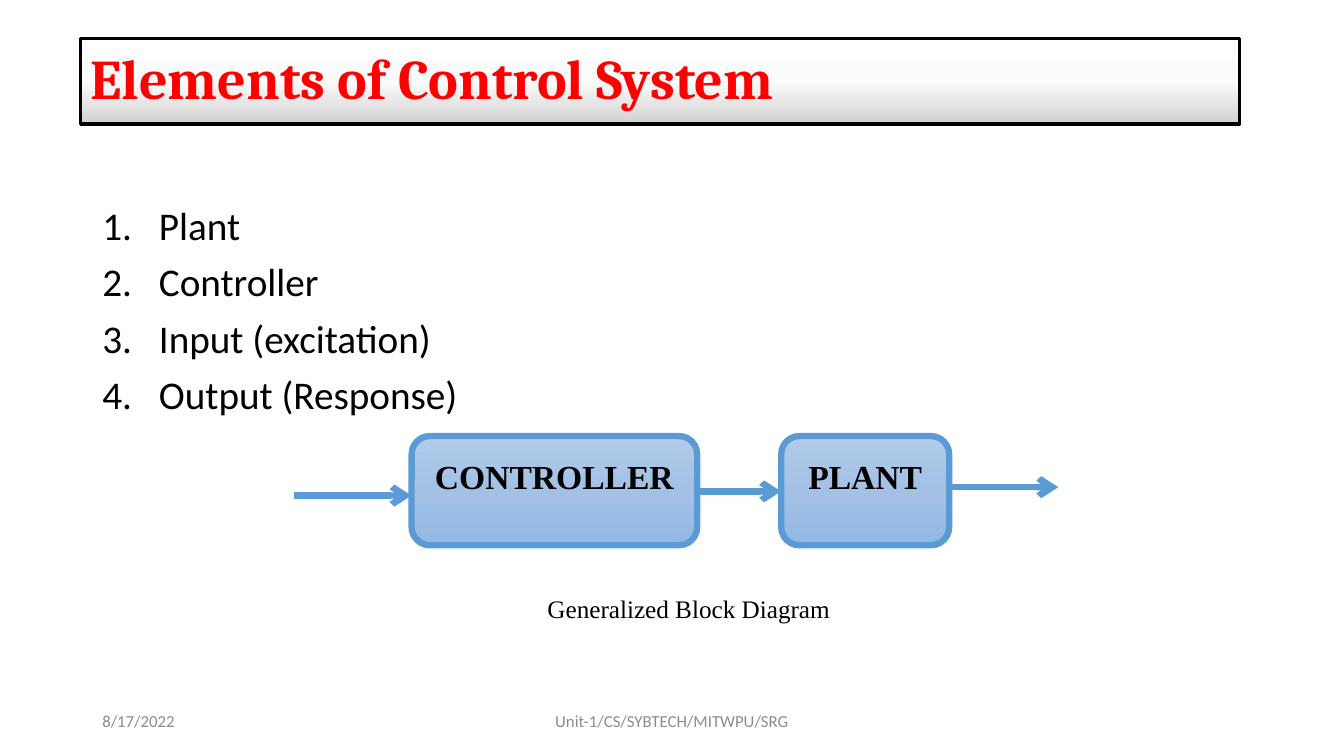
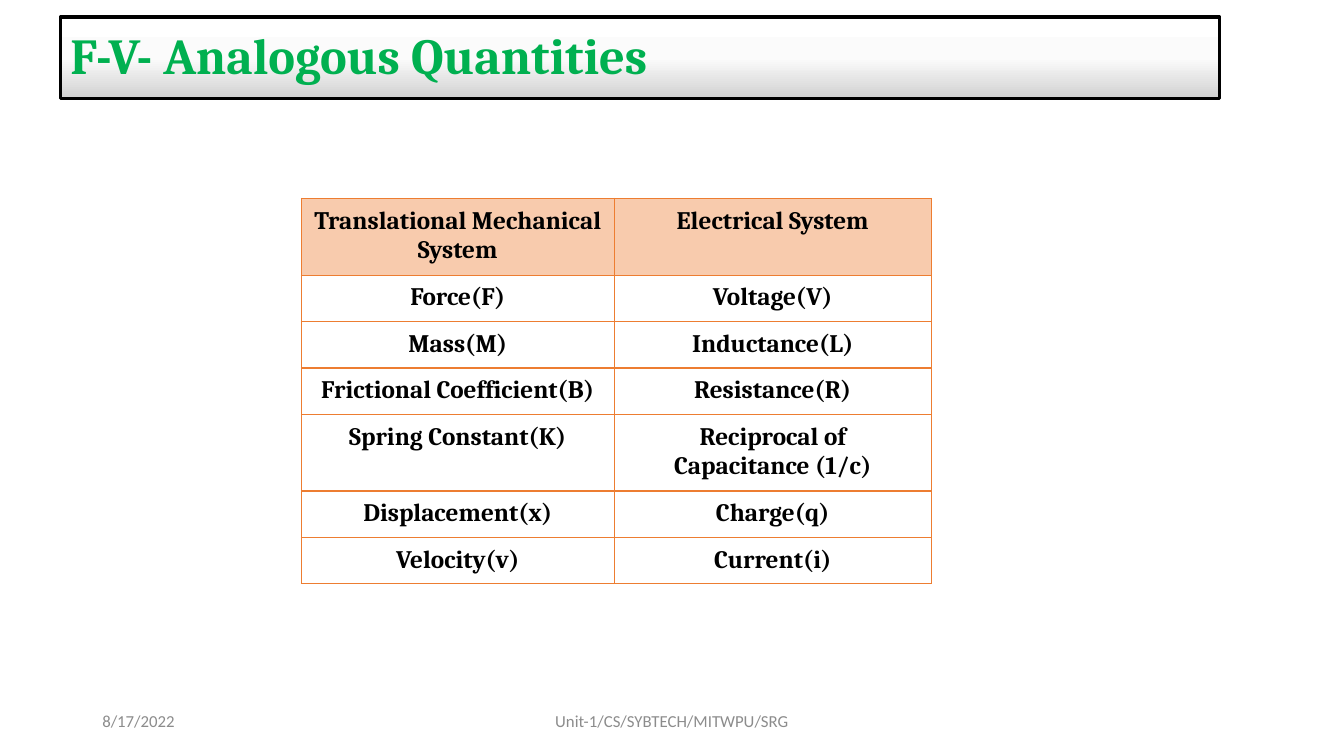
"""Build two control system slides: block diagram and analogous quantities."""
from copy import deepcopy

from lxml.etree import SubElement
from pptx import Presentation
from pptx.dml.color import RGBColor
from pptx.enum.shapes import MSO_CONNECTOR, MSO_SHAPE
from pptx.enum.text import MSO_ANCHOR, PP_ALIGN
from pptx.oxml.ns import qn
from pptx.util import Pt

BLACK = RGBColor(0x00, 0x00, 0x00)
RED = RGBColor(0xFF, 0x00, 0x00)
GREEN = RGBColor(0x00, 0xB0, 0x50)
GREY = RGBColor(0x8C, 0x8C, 0x8C)
BLUE = RGBColor(0x5B, 0x9B, 0xD5)
ORANGE = RGBColor(0xED, 0x7D, 0x31)
PEACH = RGBColor(0xF8, 0xCB, 0xAD)
SILVER_FADE = (RGBColor(0xFF, 0xFF, 0xFF), RGBColor(0xFB, 0xFB, 0xFB), RGBColor(0xD1, 0xD1, 0xD1))
BLUE_FADE = (RGBColor(0xB1, 0xCB, 0xE9), RGBColor(0xA3, 0xC1, 0xE5), RGBColor(0x93, 0xB9, 0xE4))

LIST_STYLE = {"name": "Calibri", "size": Pt(28), "color": BLACK}
FOOTER_STYLE = {"name": "Calibri", "size": Pt(12), "color": GREY}
BLOCK_STYLE = {"name": "Times New Roman", "size": Pt(24), "bold": True, "color": BLACK}
CAPTION_STYLE = {"name": "Times New Roman", "size": Pt(18), "color": BLACK}
CELL_STYLE = {"name": "Cambria", "size": Pt(18), "bold": True, "color": BLACK}

ELEMENTS_TITLE = ("Elements of Control System", (57.6, 27.4, 828, 61.2), 40, RED)
ANALOGY_TITLE = ("F-V- Analogous Quantities", (43.2, 12.2, 828, 58.3), 36, GREEN)
FOOTERS = [
    ("8/17/2022", (66, 500.5, 216, 28.8), PP_ALIGN.LEFT),
    ("Unit-1/CS/SYBTECH/MITWPU/SRG", (318, 500.5, 324, 28.8), PP_ALIGN.CENTER),
]

ELEMENTS = ["Plant", "Controller", "Input (excitation)", "Output (Response)"]
ELEMENTS_AREA = (66, 144, 828, 342.7)
NUMBER_INDENT = Pt(40.5)
BLOCKS = [("CONTROLLER", 294, 204), ("PLANT", 558, 120)]
BLOCK_TOP, BLOCK_HEIGHT = 311.5, 78
FLOW_START, FLOW_END = 210, 756
FLOW_TOP, FLOW_STEP = 354, -3
CAPTION = "Generalized Block Diagram"
CAPTION_AREA = (342, 420, 300, 29)

NBSP = chr(160)
ANALOGIES = [
    ("Translational Mechanical System", "Electrical System"),
    ("Force(F)", "Voltage(V)"),
    ("Mass(M)", "Inductance(L)"),
    ("Frictional Coefficient(B)", "Resistance(R)"),
    ("Spring Constant(K)", f"Reciprocal of Capacitance{NBSP}(1/c)"),
    ("Displacement(x)", "Charge(q)"),
    ("Velocity(v)", "Current(i)"),
]
TABLE_LEFT, TABLE_TOP = 215.3, 141.8
COLUMN_WIDTHS = (223.4, 226.6)
ROW_HEIGHT, TALL_ROW_HEIGHT = 32.8, 54.2
TALL_ROWS = (0, 4)
CELL_INSET = Pt(5.76)


def points(values):
    return [Pt(value) for value in values]


def write(paragraph, text, style, align=PP_ALIGN.LEFT):
    paragraph.alignment = align
    span = paragraph.add_run()
    span.text = text
    for name, value in style.items():
        if name == "color":
            span.font.color.rgb = value
        else:
            setattr(span.font, name, value)


def add_text(page, area, text, style, align, anchor):
    box = page.shapes.add_textbox(*points(area))
    box.text_frame.word_wrap = True
    box.text_frame.vertical_anchor = anchor
    write(box.text_frame.paragraphs[0], text, style, align)


def add_faded_shape(page, kind, area, fade, line_color, line_width):
    shape = page.shapes.add_shape(kind, *points(area))
    shape.shadow.inherit = False
    shape.line.color.rgb = line_color
    shape.line.width = Pt(line_width)
    shape.fill.gradient()
    shape.fill.gradient_angle = 270
    first_stop = next(shape._element.spPr.iter(qn("a:gs")))
    first_stop.addnext(deepcopy(first_stop))
    for stop, color, position in zip(shape.fill.gradient_stops, fade, (0, 0.5, 1)):
        stop.color.rgb = color
        stop.position = position
    shape.text_frame.word_wrap = True
    shape.text_frame.vertical_anchor = MSO_ANCHOR.MIDDLE
    return shape


def add_page(deck, title):
    text, area, size, color = title
    page = deck.slides.add_slide(deck.slide_layouts[6])
    band = add_faded_shape(page, MSO_SHAPE.RECTANGLE, area, SILVER_FADE, BLACK, 2.25)
    para = band.text_frame.paragraphs[0]
    para.line_spacing = 0.9
    write(para, text, {"name": "Cambria", "size": Pt(size), "bold": True, "color": color})
    for footer, place, align in FOOTERS:
        add_text(page, place, footer, FOOTER_STYLE, align, MSO_ANCHOR.MIDDLE)
    return page


def add_numbered_list(page):
    frame = page.shapes.add_textbox(*points(ELEMENTS_AREA)).text_frame
    frame.word_wrap = True
    for index, element in enumerate(ELEMENTS):
        para = frame.add_paragraph() if index else frame.paragraphs[0]
        properties = para._p.get_or_add_pPr()
        properties.set("marL", str(NUMBER_INDENT))
        properties.set("indent", str(-NUMBER_INDENT))
        SubElement(properties, qn("a:buFont"), typeface="+mj-lt")
        SubElement(properties, qn("a:buAutoNum"), type="arabicPeriod")
        para.line_spacing = 0.9
        para.space_before = Pt(10 if index else 0)
        write(para, element, LIST_STYLE)


def add_arrow(page, start, end, top):
    arrow = page.shapes.add_connector(MSO_CONNECTOR.STRAIGHT, *points((start, top, end, top)))
    arrow.line.color.rgb = BLUE
    arrow.line.width = Pt(4.5)
    SubElement(arrow.line._get_or_add_ln(), qn("a:tailEnd"), type="arrow")
    SubElement(arrow._element.spPr, qn("a:effectLst"))


def add_block_diagram(page):
    starts = [FLOW_START] + [left + width for _, left, width in BLOCKS]
    ends = [left for _, left, _ in BLOCKS] + [FLOW_END]
    for index, (start, end) in enumerate(zip(starts, ends)):
        add_arrow(page, start, end, FLOW_TOP + index * FLOW_STEP)
    for label, left, width in BLOCKS:
        area = (left, BLOCK_TOP, width, BLOCK_HEIGHT)
        block = add_faded_shape(page, MSO_SHAPE.ROUNDED_RECTANGLE, area, BLUE_FADE, BLUE, 4.5)
        block.text_frame.margin_bottom = Pt(24.3)
        write(block.text_frame.paragraphs[0], label, BLOCK_STYLE, PP_ALIGN.CENTER)
    add_text(page, CAPTION_AREA, CAPTION, CAPTION_STYLE, PP_ALIGN.CENTER, MSO_ANCHOR.TOP)


def add_borders(cell):
    properties = cell._tc.get_or_add_tcPr()
    for index, side in enumerate(("a:lnL", "a:lnR", "a:lnT", "a:lnB")):
        border = properties.makeelement(qn(side), {"w": str(Pt(1))})
        fill = SubElement(border, qn("a:solidFill"))
        SubElement(fill, qn("a:srgbClr"), val=str(ORANGE))
        properties.insert(index, border)


def add_analogy_table(page):
    heights = [TALL_ROW_HEIGHT if row in TALL_ROWS else ROW_HEIGHT for row in range(len(ANALOGIES))]
    area = (TABLE_LEFT, TABLE_TOP, sum(COLUMN_WIDTHS), sum(heights))
    table = page.shapes.add_table(len(heights), len(COLUMN_WIDTHS), *points(area)).table
    table.first_row = table.horz_banding = False
    for column, width in zip(table.columns, COLUMN_WIDTHS):
        column.width = Pt(width)
    for index, (row, height, texts) in enumerate(zip(table.rows, heights, ANALOGIES)):
        row.height = Pt(height)
        for cell, text in zip(row.cells, texts):
            for side in ("left", "right", "top", "bottom"):
                setattr(cell, f"margin_{side}", CELL_INSET)
            if index == 0:
                cell.fill.solid()
                cell.fill.fore_color.rgb = PEACH
            else:
                cell.fill.background()
            add_borders(cell)
            write(cell.text_frame.paragraphs[0], text, CELL_STYLE, PP_ALIGN.CENTER)


def main():
    deck = Presentation()
    deck.slide_width, deck.slide_height = Pt(960), Pt(540)
    elements_page = add_page(deck, ELEMENTS_TITLE)
    add_numbered_list(elements_page)
    add_block_diagram(elements_page)
    add_analogy_table(add_page(deck, ANALOGY_TITLE))
    deck.save("out.pptx")


if __name__ == "__main__":
    main()
